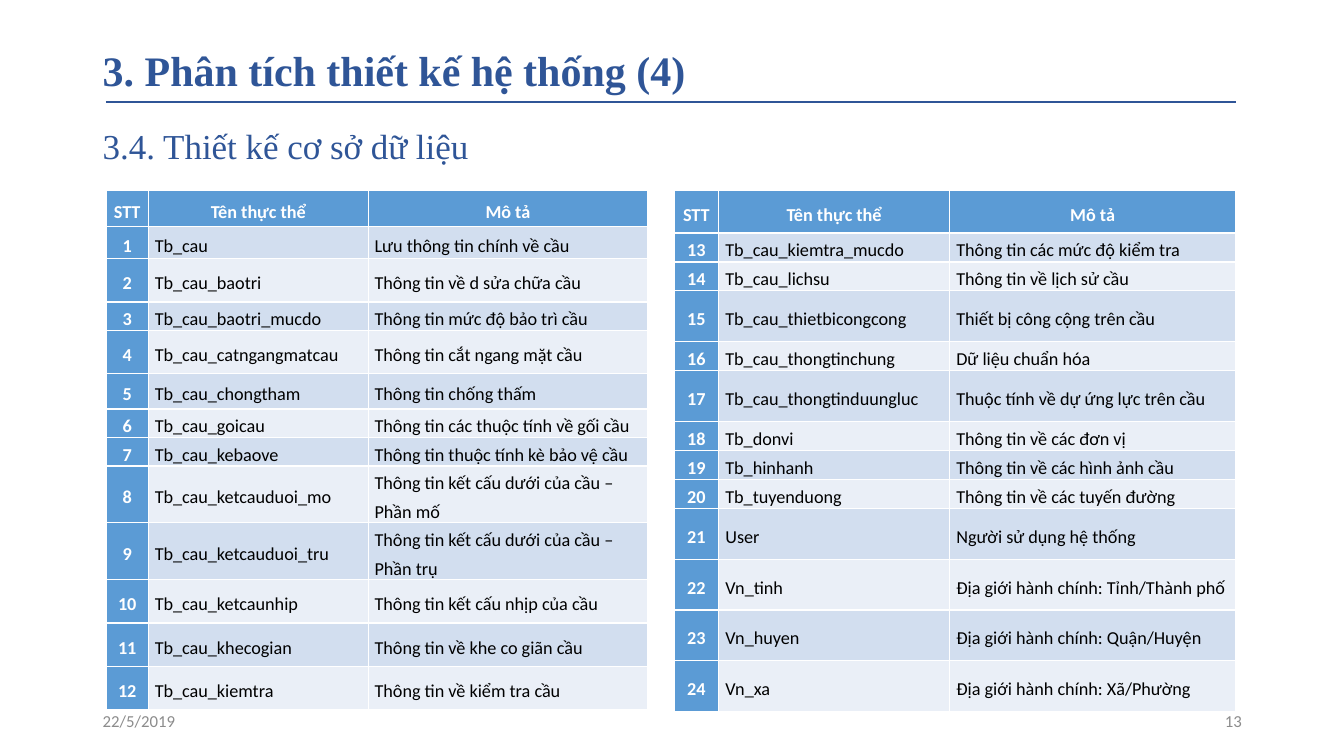
from pptx import Presentation
from pptx.dml.color import RGBColor as Rgb
from pptx.enum.shapes import MSO_CONNECTOR as Link
from pptx.enum.text import MSO_ANCHOR as Anchor, PP_ALIGN as Align
from pptx.oxml.xmlchemy import OxmlElement as Node
from pptx.util import Cm, Pt

HUES = {"navy": "2F5597", "gray": "8C8C8C", "blue": "5B9BD5",
        "dark": "D2DEEF", "light": "EAEFF7", "white": "FFFFFF", "black": "000000"}
SERIF, SANS = "Times New Roman", "Calibri"
HEADS = ["STT", "Tên thực thể", "Mô tả"]

LEFT = [
    ("Tb_cau", "Lưu thông tin chính về cầu", 0.81),
    ("Tb_cau_baotri", "Thông tin về d sửa chữa cầu", 1.09),
    ("Tb_cau_baotri_mucdo", "Thông tin mức độ bảo trì cầu", 0.61),
    ("Tb_cau_catngangmatcau", "Thông tin cắt ngang mặt cầu", 1.09),
    ("Tb_cau_chongtham", "Thông tin chống thấm", 0.89),
    ("Tb_cau_goicau", "Thông tin các thuộc tính về gối cầu", 0.61),
    ("Tb_cau_kebaove", "Thông tin thuộc tính kè bảo vệ cầu", 0.61),
    ("Tb_cau_ketcauduoi_mo", "Thông tin kết cấu dưới của cầu – Phần mố", 1.3),
    ("Tb_cau_ketcauduoi_tru", "Thông tin kết cấu dưới của cầu – Phần trụ", 1.3),
    ("Tb_cau_ketcaunhip", "Thông tin kết cấu nhịp của cầu", 1.09),
    ("Tb_cau_khecogian", "Thông tin về khe co giãn cầu", 1.09),
    ("Tb_cau_kiemtra", "Thông tin về kiểm tra cầu", 1.09),
]
RIGHT = [
    ("Tb_cau_kiemtra_mucdo", "Thông tin các mức độ kiểm tra", 0.73),
    ("Tb_cau_lichsu", "Thông tin về lịch sử cầu", 0.73),
    ("Tb_cau_thietbicongcong", "Thiết bị công cộng trên cầu", 1.28),
    ("Tb_cau_thongtinchung", "Dữ liệu chuẩn hóa", 0.73),
    ("Tb_cau_thongtinduungluc", "Thuộc tính về dự ứng lực trên cầu", 1.28),
    ("Tb_donvi", "Thông tin về các đơn vị", 0.73),
    ("Tb_hinhanh", "Thông tin về các hình ảnh cầu", 0.73),
    ("Tb_tuyenduong", "Thông tin về các tuyến đường", 0.73),
    ("User", "Người sử dụng hệ thống", 1.28),
    ("Vn_tinh", "Địa giới hành chính: Tỉnh/Thành phố", 1.28),
    ("Vn_huyen", "Địa giới hành chính: Quận/Huyện", 1.28),
    ("Vn_xa", "Địa giới hành chính: Xã/Phường", 1.28),
]


def style(para, face, size, hue, bold=False, align=Align.LEFT, gap=1.0):
    font = para.font
    font.name, font.size, font.bold = face, Pt(size), bold
    font.color.rgb = Rgb.from_string(HUES[hue])
    para.alignment, para.line_spacing = align, gap


def label(slide, box, text, *look, anchor=Anchor.MIDDLE, **more):
    frame = slide.shapes.add_textbox(*map(Cm, box)).text_frame
    frame.word_wrap = True
    frame.vertical_anchor = anchor
    frame.text = text
    style(frame.paragraphs[0], *look, **more)


def header(slide, box):
    x, y, w, h = box
    label(slide, (x, y, w, 1.45), "3. Phân tích thiết kế hệ thống (4)",
          SERIF, 30, "navy", True, gap=0.9)
    rule = slide.shapes.add_connector(
        Link.STRAIGHT, Cm(x + 0.33), Cm(y + 1.45), Cm(x + w + 0.02), Cm(y + 1.45))
    rule.line.color.rgb = Rgb.from_string(HUES["navy"])
    rule.line.width = Pt(1.5)
    rule._element.spPr.append(Node("a:effectLst"))
    label(slide, (x, y + h - 1.32, w, 1.32), "3.4. Thiết kế cơ sở dữ liệu",
          SERIF, 25, "navy", anchor=Anchor.TOP)


def footer(slide, box):
    x, y, w, h = box
    part = 7.62
    label(slide, (x, y, part, h), "22/5/2019", SANS, 12, "gray")
    label(slide, (x + w - part, y, part, h), "13", SANS, 12, "gray", align=Align.RIGHT)


def listing(slide, box, items, start, cols, top, pad):
    grid = slide.shapes.add_table(len(items) + 1, len(cols), *map(Cm, box)).table
    grid.first_col = True
    for col, width in zip(grid.columns, cols):
        col.width = Cm(width)
    lines = [HEADS] + [(str(start + i), name, note)
                       for i, (name, note, _) in enumerate(items)]
    tall = [top] + [high for _, _, high in items]
    for r, (line, high) in enumerate(zip(lines, tall)):
        grid.rows[r].height = Cm(high)
        for c, text in enumerate(line):
            cell = grid.cell(r, c)
            key = r == 0 or c == 0
            cell.text = text
            cell.vertical_anchor = Anchor.MIDDLE
            cell.margin_left = cell.margin_right = Cm(pad)
            cell.margin_top = cell.margin_bottom = 0
            cell.fill.solid()
            tone = "blue" if key else "dark" if r % 2 else "light"
            cell.fill.fore_color.rgb = Rgb.from_string(HUES[tone])
            style(cell.text_frame.paragraphs[0], SANS, 13,
                  "white" if key else "black", key,
                  Align.CENTER if key else Align.LEFT, 1.3)


def main():
    deck = Presentation()
    deck.slide_width, deck.slide_height = Cm(33.87), Cm(19.05)
    slide = deck.slides.add_slide(deck.slide_layouts[6])
    header(slide, (2.34, 1.12, 28.78, 3.22))
    footer(slide, (2.34, 17.65, 29.21, 1.02))
    listing(slide, (2.67, 4.8, 13.65, 13.08), LEFT, 1, (1.07, 5.54, 7.04), 0.91, 0.16)
    listing(slide, (16.99, 4.8, 14.15, 13.08), RIGHT, 13, (1.12, 5.82, 7.21), 1.07, 0.17)
    deck.save("out.pptx")


if __name__ == "__main__":
    main()
